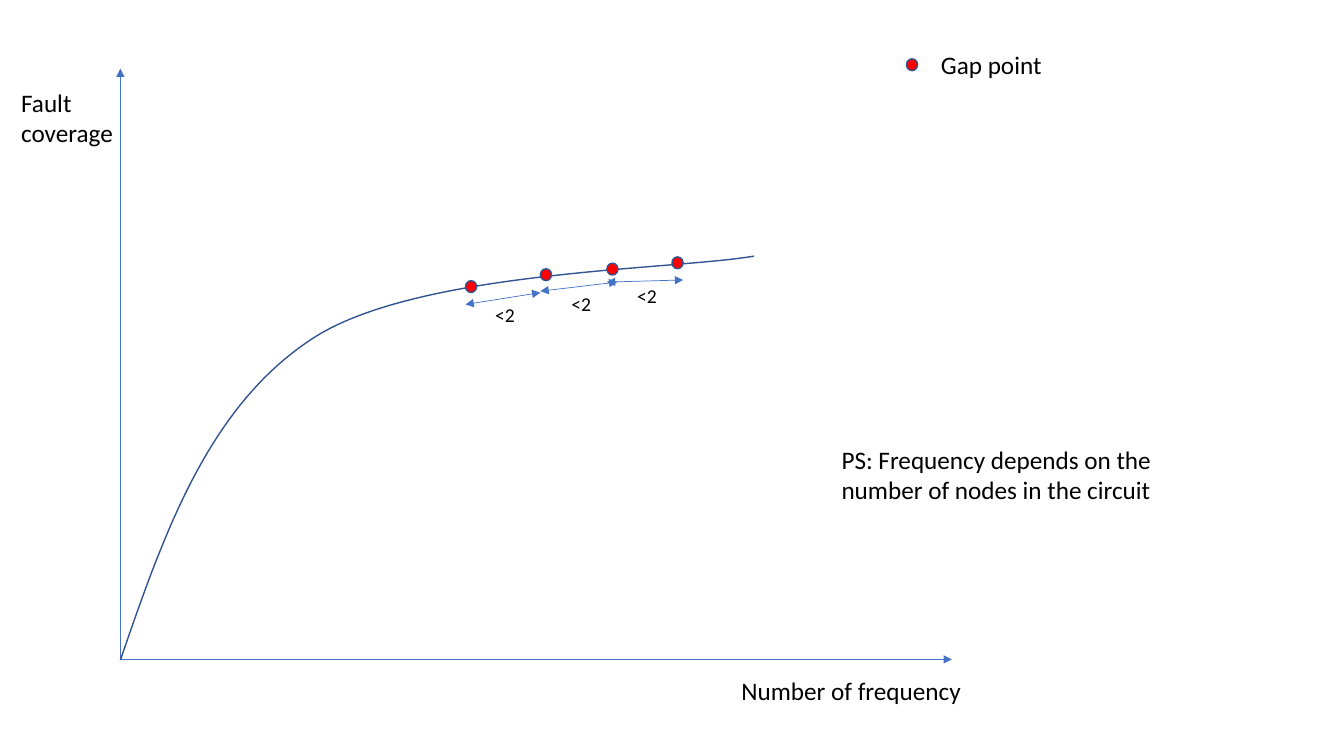
"""Draw a fault coverage curve over frequency, with its gap points."""
from lxml import etree
from pptx import Presentation
from pptx.dml.color import RGBColor
from pptx.enum.shapes import MSO_CONNECTOR, MSO_SHAPE
from pptx.enum.text import MSO_AUTO_SIZE
from pptx.oxml.ns import qn
from pptx.util import Pt

LINE = MSO_CONNECTOR.STRAIGHT
OVAL = MSO_SHAPE.OVAL
GROW = MSO_AUTO_SIZE.SHAPE_TO_FIT_TEXT
HEX = {"axis": "4472C4", "curve": "325491", "gap": "FF0000", "text": "000000"}
COLOR = {name: RGBColor.from_string(code) for name, code in HEX.items()}

deck = Presentation()
deck.slide_width, deck.slide_height = Pt(960), Pt(540)
slide = deck.slides.add_slide(deck.slide_layouts[6])
shapes = slide.shapes


def add_arrow(start, end, heads):
    """Add a thin line with the given arrowheads."""
    arrow = shapes.add_connector(LINE, *map(Pt, start + end))
    arrow.line.color.rgb = COLOR["axis"]
    arrow.line.width = Pt(0.5)
    for head in heads:
        etree.SubElement(arrow.line._ln, qn("a:" + head), type="triangle")
    etree.SubElement(arrow._element.spPr, qn("a:effectLst"))


def add_text(text, left, top, width, height, size=18, wrap=True):
    """Add a text box that grows with its text."""
    box = shapes.add_textbox(Pt(left), Pt(top), Pt(width), Pt(height))
    frame = box.text_frame
    frame.word_wrap, frame.auto_size = wrap, GROW
    run = frame.paragraphs[0].add_run()
    run.text = text
    for key, value in {"name": "Calibri", "size": Pt(size)}.items():
        setattr(run.font, key, value)
    run.font.color.rgb = COLOR["text"]


add_arrow((86, 470.5), (86, 49), ["tailEnd"])
add_arrow((86, 471), (680, 471), ["tailEnd"])

BENDS = [
    [(86, 471.5), (117.5, 380), (149, 289.5), (224.5, 241)],
    [(224.5, 241), (300, 193), (479.5, 193), (538.5, 183)],
]
STEPS = 40
points = []
for bend in BENDS:
    for step in range(1, STEPS + 1):
        t = step / STEPS
        parts = [(1 - t) ** 3, 3 * t * (1 - t) ** 2, 3 * t * t * (1 - t), t ** 3]
        points.append([Pt(sum(p * v for p, v in zip(parts, axis))) for axis in zip(*bend)])
path = shapes.build_freeform(*map(Pt, BENDS[0][0]))
path.add_line_segments(points, close=False)
curve = path.convert_to_shape()
curve.shadow.inherit = False
curve.fill.background()
curve.line.color.rgb = COLOR["curve"]
curve.line.width = Pt(1)

for left, top in [(386, 192), (433.5, 188), (480, 183.5), (332.5, 200.5), (647.5, 42)]:
    dot = shapes.add_shape(OVAL, Pt(left), Pt(top), Pt(8), Pt(8.5))
    dot.shadow.inherit = False
    dot.fill.solid()
    dot.fill.fore_color.rgb = COLOR["gap"]
    dot.line.color.rgb = COLOR["curve"]
    dot.line.width = Pt(1)

add_text("Gap point", 665, 31.5, 115, 29)
add_text("Fault coverage", 8, 59, 86, 51)
add_text("Number of frequency", 522.5, 479, 194, 29)

SPANS = [
    ((386, 209), (332.5, 217.5), (346.5, 213)),
    ((441, 201.5), (386, 208), (401, 205)),
    ((488, 200), (433.5, 201.5), (448, 199)),
]
for start, end, label in SPANS:
    add_arrow(start, end, ["headEnd", "tailEnd"])
    add_text("<2", *label, 29, 24.5, size=14, wrap=False)

add_text("PS: Frequency depends on the number of nodes in the circuit", 594, 314, 245, 51)

deck.save("out.pptx")
